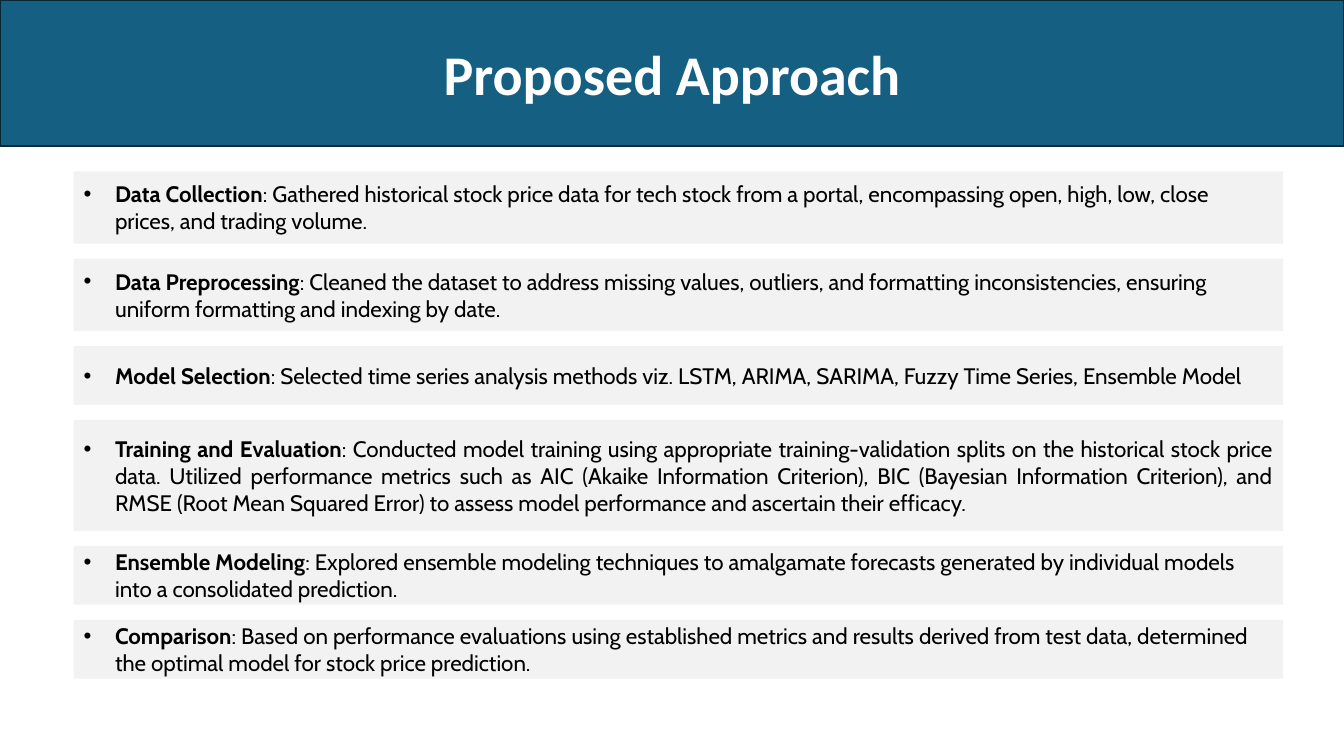
"""Build the Proposed Approach slide: a title banner above a stack of step panels."""
from lxml import etree
from pptx import Presentation
from pptx.dml.color import RGBColor
from pptx.enum import shapes, text
from pptx.oxml import ns
from pptx.util import Pt

COLORS = {"banner": "156082", "border": "092836", "panel": "F2F2F2",
          "title": "FFFFFF", "body": "000000"}
LEFT, ALIGN_LEFT, JUSTIFY = 52.6, text.PP_ALIGN.LEFT, text.PP_ALIGN.JUSTIFY
TOP, WIDTH, GAP, INDENT = 122.4, 864, 10.8, 22.5
STEPS = [
    ("Data Collection", ": Gathered historical stock price data for tech stock from a portal, "
     "encompassing open, high, low, close prices, and trading volume.", 51.6, ALIGN_LEFT),
    ("Data Preprocessing", ": Cleaned the dataset to address missing values, outliers, and "
     "formatting inconsistencies, ensuring uniform formatting and indexing by date.",
     51.6, ALIGN_LEFT),
    ("Model Selection", ": Selected time series analysis methods viz. LSTM, ARIMA, SARIMA, "
     "Fuzzy Time Series, Ensemble Model", 42, ALIGN_LEFT),
    ("Training and Evaluation", ": Conducted model training using appropriate "
     "training-validation splits on the historical stock price data. Utilized performance "
     "metrics such as AIC (Akaike Information Criterion), BIC (Bayesian Information "
     "Criterion), and RMSE (Root Mean Squared Error) to assess model performance and "
     "ascertain their efficacy.", 79.2, JUSTIFY),
    ("Ensemble Modeling", ": Explored ensemble modeling techniques to amalgamate forecasts "
     "generated by individual models into a consolidated prediction.", 42, ALIGN_LEFT),
    ("Comparison", ": Based on performance evaluations using established metrics and results "
     "derived from test data, determined the optimal model for stock price prediction.",
     42, ALIGN_LEFT),
]


def color(name):
    """Return the named colour."""
    return RGBColor.from_string(COLORS[name])


def add_box(s, left, top, width, height, fill):
    """Add a filled rectangle without outline and with middle-anchored text."""
    sp = s.shapes.add_shape(shapes.MSO_SHAPE.RECTANGLE,
                            Pt(left), Pt(top), Pt(width), Pt(height))
    sp.shadow.inherit = False
    sp.fill.solid()
    sp.fill.fore_color.rgb = color(fill)
    sp.line.fill.background()
    sp.text_frame.word_wrap = True
    sp.text_frame.vertical_anchor = text.MSO_ANCHOR.MIDDLE
    return sp


def add_run(p, words, font, size, fill, bold):
    """Append a formatted run to a paragraph."""
    r = p.add_run()
    r.text = words
    r.font.name = font
    r.font.size = Pt(size)
    r.font.bold = bold
    r.font.color.rgb = color(fill)


def add_bullet(p):
    """Give a paragraph a hanging bullet."""
    pPr = p._p.get_or_add_pPr()
    pPr.set("marL", str(Pt(INDENT)))
    pPr.set("indent", str(-Pt(INDENT)))
    etree.SubElement(pPr, ns.qn("a:buFont")).set("typeface", "Arial")
    etree.SubElement(pPr, ns.qn("a:buChar")).set("char", "•")


def add_banner(s, title):
    """Add the outlined title banner across the slide."""
    sp = add_box(s, 0, 0, 960, 104.4, "banner")
    sp.line.color.rgb = color("border")
    sp.line.width = Pt(1.25)
    p = sp.text_frame.paragraphs[0]
    p.alignment = text.PP_ALIGN.CENTER
    add_run(p, title, "Calibri", 40, "title", True)


def add_step(s, top, name, detail, height, align):
    """Add one panel with a bold step name and its description."""
    sp = add_box(s, LEFT, top, WIDTH, height, "panel")
    p = sp.text_frame.paragraphs[0]
    p.alignment = align
    add_bullet(p)
    add_run(p, name, "Cabin", 16, "body", True)
    add_run(p, detail, "Cabin", 16, "body", False)


def main():
    """Build and save the slide."""
    prs = Presentation()
    prs.slide_width, prs.slide_height = Pt(960), Pt(540)
    s = prs.slides.add_slide(prs.slide_layouts[6])
    add_banner(s, "Proposed Approach")
    top = TOP
    for name, detail, height, align in STEPS:
        add_step(s, top, name, detail, height, align)
        top += height + GAP
    prs.save("out.pptx")


if __name__ == "__main__":
    main()
